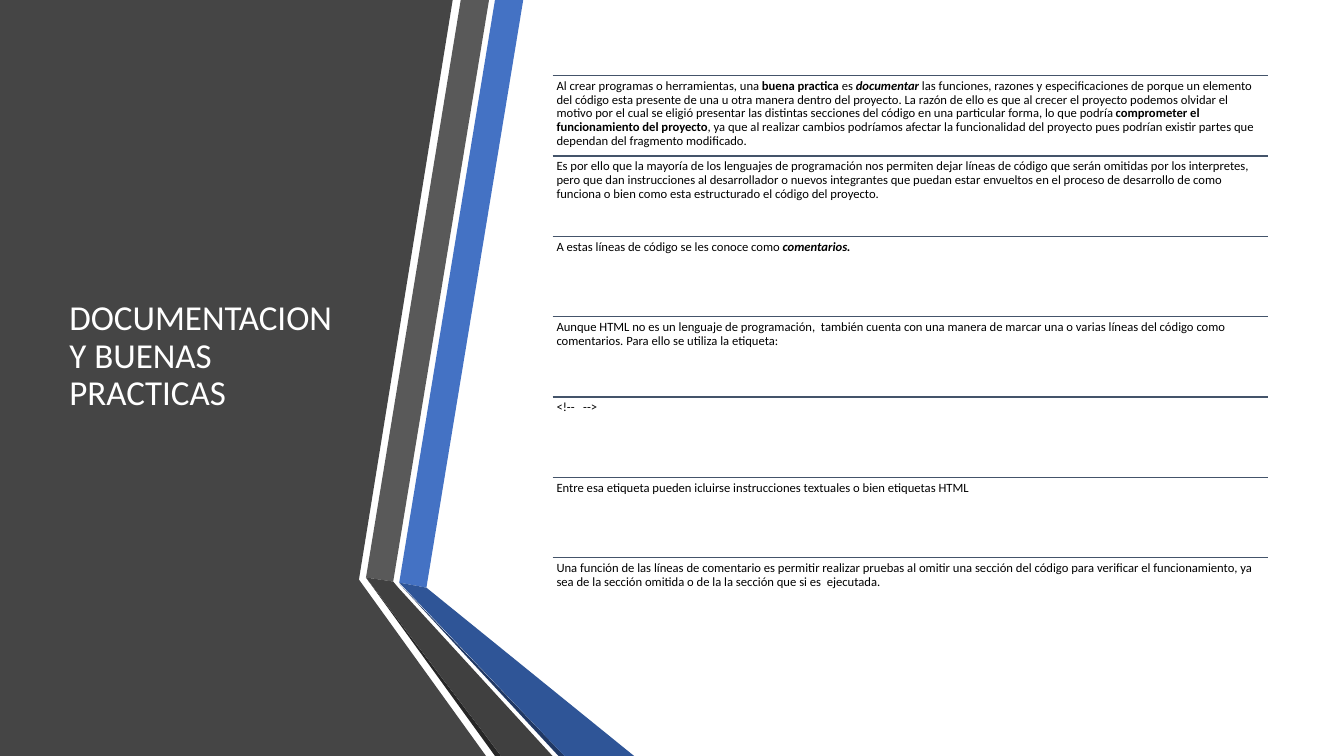
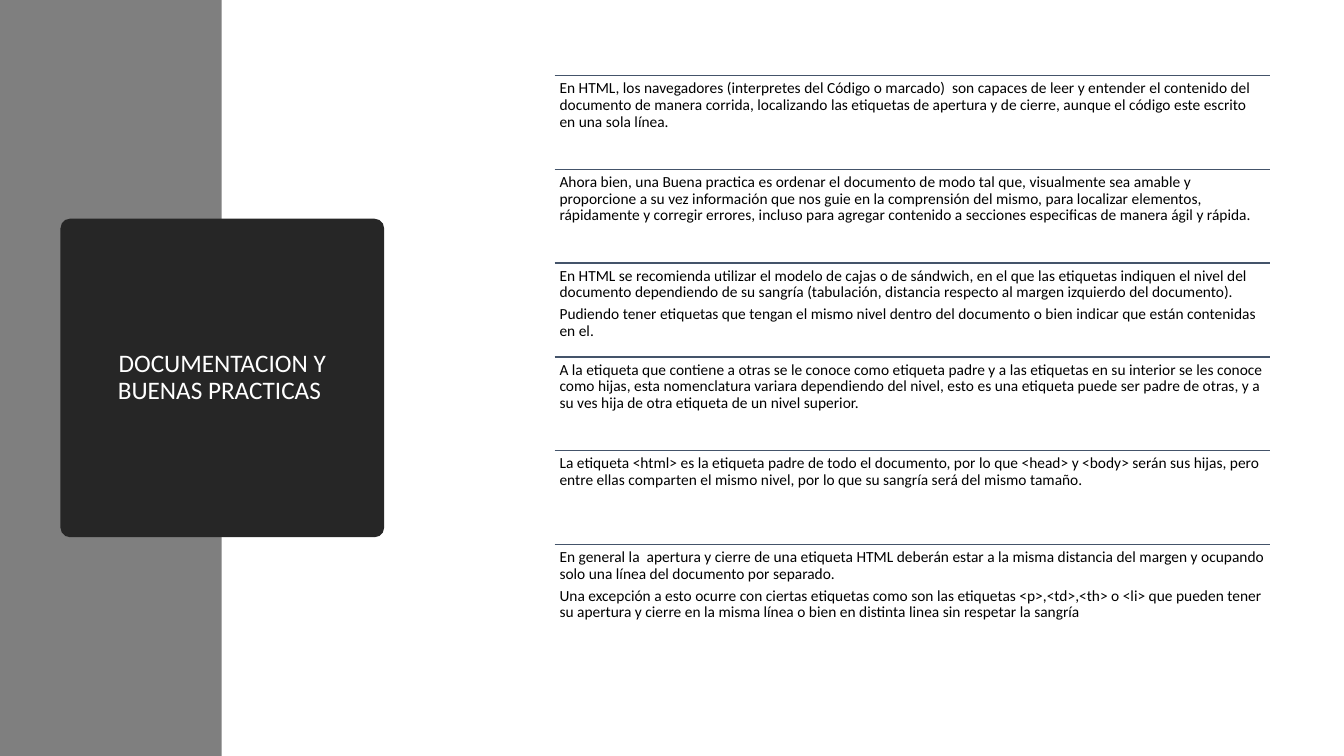
"""Build two slides on documentation and good practices in HTML."""
from lxml.etree import SubElement
from pptx import Presentation
from pptx.dml.color import RGBColor
from pptx.enum.shapes import MSO_CONNECTOR as CONN, MSO_SHAPE as SHAPE
from pptx.enum.text import MSO_ANCHOR as ANCHOR, PP_ALIGN as ALIGN
from pptx.oxml.ns import qn
from pptx.util import Inches, Pt

WHITE = RGBColor(0xFF, 0xFF, 0xFF)
BLACK = RGBColor(0x00, 0x00, 0x00)
PANEL = RGBColor(0x45, 0x45, 0x45)
BLUE = RGBColor(0x44, 0x72, 0xC4)
BLUE_DARK = RGBColor(0x2F, 0x55, 0x97)
BLUE_DEEP = RGBColor(0x20, 0x38, 0x64)
GRAY = RGBColor(0x59, 0x59, 0x59)
GRAY_DARK = RGBColor(0x40, 0x40, 0x40)
CHARCOAL = RGBColor(0x26, 0x26, 0x26)
BAND = RGBColor(0x7F, 0x7F, 0x7F)
RULE = RGBColor(0x44, 0x54, 0x6A)

FONT = "Calibri"
LINE_SPACING = 0.9
WIDTH, HEIGHT = 13.33, 7.5
LIST_TOP, LIST_WIDTH, LIST_HEIGHT = 0.75, 7.1, 5.58

RIBBONS = [
    (PANEL, [(0, 0), (4.49, 0), (3.56, 5.75), (4.82, 7.5), (0, 7.5)]),
    (BLUE, [(3.96, 5.78), (4.23, 5.83), (5.19, 0), (4.91, 0)]),
    (GRAY, [(4.85, 0), (4.57, 0), (3.63, 5.73), (3.9, 5.77)]),
    (CHARCOAL, [(3.63, 5.73), (4.91, 7.5), (4.97, 7.5)]),
    (BLUE_DEEP, [(3.96, 5.79), (5.54, 7.5), (5.6, 7.5)]),
    (BLUE_DARK, [(3.96, 5.78), (5.6, 7.5), (6.29, 7.5), (4.23, 5.83)]),
    (GRAY_DARK, [(5.48, 7.5), (3.95, 5.83), (3.9, 5.77), (3.63, 5.73), (4.97, 7.5)]),
]

COMMENT_ROWS = [
    [[("Al crear programas o herramientas, una ", ""),
      ("buena practica ", "b"),
      ("es ", ""),
      ("documentar", "bi"),
      (" las funciones, razones y especificaciones de porque un elemento del código esta "
       "presente de una u otra manera dentro del proyecto. La razón de ello es que al crecer "
       "el proyecto podemos olvidar el motivo por el cual se eligió presentar las distintas "
       "secciones del código en una particular forma, lo que podría ", ""),
      ("comprometer el funcionamiento del proyecto", "b"),
      (", ya que al realizar cambios podríamos afectar la funcionalidad del proyecto pues "
       "podrían existir partes que dependan del fragmento modificado.", "")]],
    ["Es por ello que la mayoría de los lenguajes de programación nos permiten dejar líneas de "
     "código que serán omitidas por los interpretes, pero que dan instrucciones al "
     "desarrollador o nuevos integrantes que puedan estar envueltos en el proceso de "
     "desarrollo de como funciona o bien como esta estructurado el código del proyecto."],
    [[("A estas líneas de código se les conoce como ", ""), ("comentarios.", "bi")]],
    ["Aunque HTML no es un lenguaje de programación,  también cuenta con una manera de marcar "
     "una o varias líneas del código como comentarios. Para ello se utiliza la etiqueta:"],
    ["<!--   -->"],
    ["Entre esa etiqueta pueden icluirse instrucciones textuales o bien etiquetas HTML"],
    ["Una función de las líneas de comentario es permitir realizar pruebas al omitir una "
     "sección del código para verificar el funcionamiento, ya sea de la sección omitida o de "
     "la la sección que si es  ejecutada."],
]

INDENT_ROWS = [
    ["En HTML, los navegadores (interpretes del Código o marcado)  son capaces de leer y "
     "entender el contenido del documento de manera corrida, localizando las etiquetas de "
     "apertura y de cierre, aunque el código este escrito en una sola línea."],
    ["Ahora bien, una Buena practica es ordenar el documento de modo tal que, visualmente sea "
     "amable y proporcione a su vez información que nos guie en la comprensión del mismo, para "
     "localizar elementos, rápidamente y corregir errores, incluso para agregar contenido a "
     "secciones especificas de manera ágil y rápida."],
    ["En HTML se recomienda utilizar el modelo de cajas o de sándwich, en el que las etiquetas "
     "indiquen el nivel del documento dependiendo de su sangría (tabulación, distancia "
     "respecto al margen izquierdo del documento).",
     "Pudiendo tener etiquetas que tengan el mismo nivel dentro del documento o bien indicar "
     "que están contenidas en el."],
    ["A la etiqueta que contiene a otras se le conoce como etiqueta padre y a las etiquetas en "
     "su interior se les conoce como hijas, esta nomenclatura variara dependiendo del nivel, "
     "esto es una etiqueta puede ser padre de otras, y a su ves hija de otra etiqueta de un "
     "nivel superior."],
    ["La etiqueta <html> es la etiqueta padre de todo el documento, por lo que <head> y <body> "
     "serán sus hijas, pero entre ellas comparten el mismo nivel, por lo que su sangría será "
     "del mismo tamaño."],
    ["En general la  apertura y cierre de una etiqueta HTML deberán estar a la misma distancia "
     "del margen y ocupando solo una línea del documento por separado.",
     "Una excepción a esto ocurre con ciertas etiquetas como son las etiquetas "
     "<p>,<td>,<th> o <li> que pueden tener su apertura y cierre en la misma línea o bien en "
     "distinta linea sin respetar la sangría"],
]


def paint(sp, color):
    """Give a shape a flat fill without outline or shadow."""
    sp.shadow.inherit = False
    sp.fill.solid()
    sp.fill.fore_color.rgb = color
    sp.line.fill.background()


def style_run(r, size, color, style=""):
    """Set the font of a run; style may hold b and i."""
    r.font.name = FONT
    r.font.size = Pt(size)
    r.font.color.rgb = color
    r.font.bold = "b" in style
    r.font.italic = "i" in style


def set_insets(tf, x, y):
    """Wrap the text and set its side and top insets."""
    tf.word_wrap = True
    tf.margin_left = tf.margin_right = Inches(x)
    tf.margin_top = tf.margin_bottom = Inches(y)


def set_title(sp, text, size, align, inset):
    """Write a white, vertically centred slide title into a shape."""
    tf = sp.text_frame
    set_insets(tf, inset, 0.05)
    tf.vertical_anchor = ANCHOR.MIDDLE
    tf.text = text
    p = tf.paragraphs[0]
    p.alignment = align
    p.line_spacing = LINE_SPACING
    style_run(p.runs[0], size, WHITE)


def add_rule(slide, x, y, w):
    """Draw a thin horizontal rule."""
    line = slide.shapes.add_connector(CONN.STRAIGHT, Inches(x), Inches(y), Inches(x + w), Inches(y))
    line.line.color.rgb = RULE
    line.line.width = Pt(1)
    SubElement(line._element.spPr, qn("a:effectLst"))


def add_row(slide, x, y, w, h, paragraphs, size, inset):
    """Add one ruled row of text."""
    add_rule(slide, x, y, w)
    tf = slide.shapes.add_textbox(Inches(x), Inches(y), Inches(w), Inches(h)).text_frame
    set_insets(tf, inset, inset)
    for i, content in enumerate(paragraphs):
        p = tf.paragraphs[0] if i == 0 else tf.add_paragraph()
        p.line_spacing = LINE_SPACING
        p.space_after = Pt(0.35 * size)
        for text, style in [(content, "")] if isinstance(content, str) else content:
            r = p.add_run()
            r.text = text
            style_run(r, size, BLACK, style)


def add_ruled_list(slide, x, y, w, h, rows, size, inset):
    """Share the height of a box equally among ruled rows."""
    row_h = h / len(rows)
    for i, paragraphs in enumerate(rows):
        add_row(slide, x, y + i * row_h, w, row_h, paragraphs, size, inset)


def add_ribbons(slide, x, y):
    """Draw the dark panel and its folded ribbons from a top left corner."""
    for color, points in RIBBONS:
        start, *rest = [(Inches(x + px), Inches(y + py)) for px, py in points]
        builder = slide.shapes.build_freeform(*start)
        builder.add_line_segments(rest, close=True)
        paint(builder.convert_to_shape(), color)


def add_band(slide, x, y, w, h):
    """Draw the gray side band."""
    paint(slide.shapes.add_shape(SHAPE.RECTANGLE, Inches(x), Inches(y), Inches(w), Inches(h)), BAND)


def add_title_card(slide, x, y, w, h, text):
    """Draw the rounded dark card that carries the title."""
    card = slide.shapes.add_shape(SHAPE.ROUNDED_RECTANGLE, Inches(x), Inches(y), Inches(w), Inches(h))
    card.adjustments[0] = 0.03
    paint(card, CHARCOAL)
    set_title(card, text, 18, ALIGN.CENTER, 0.45)


def comments_slide(prs):
    """Build the slide about comments."""
    slide = prs.slides.add_slide(prs.slide_layouts[6])
    add_ribbons(slide, 0, 0)
    title = slide.shapes.add_textbox(Inches(0.59), Inches(LIST_TOP), Inches(3), Inches(LIST_HEIGHT))
    set_title(title, "DOCUMENTACION Y BUENAS PRACTICAS", 25, ALIGN.LEFT, 0.1)
    add_ruled_list(slide, 5.48, LIST_TOP, LIST_WIDTH, LIST_HEIGHT, COMMENT_ROWS, 9, 0.04)


def indentation_slide(prs):
    """Build the slide about indentation."""
    slide = prs.slides.add_slide(prs.slide_layouts[6])
    add_band(slide, 0, 0, 2.2, HEIGHT)
    add_title_card(slide, 0.6, 2.17, 3.21, 3.16, "DOCUMENTACION Y BUENAS PRACTICAS ")
    add_ruled_list(slide, 5.5, LIST_TOP, LIST_WIDTH, LIST_HEIGHT, INDENT_ROWS, 11, 0.05)


def main():
    """Create and save the presentation."""
    prs = Presentation()
    prs.slide_width, prs.slide_height = Inches(WIDTH), Inches(HEIGHT)
    comments_slide(prs)
    indentation_slide(prs)
    prs.save("out.pptx")


if __name__ == "__main__":
    main()
